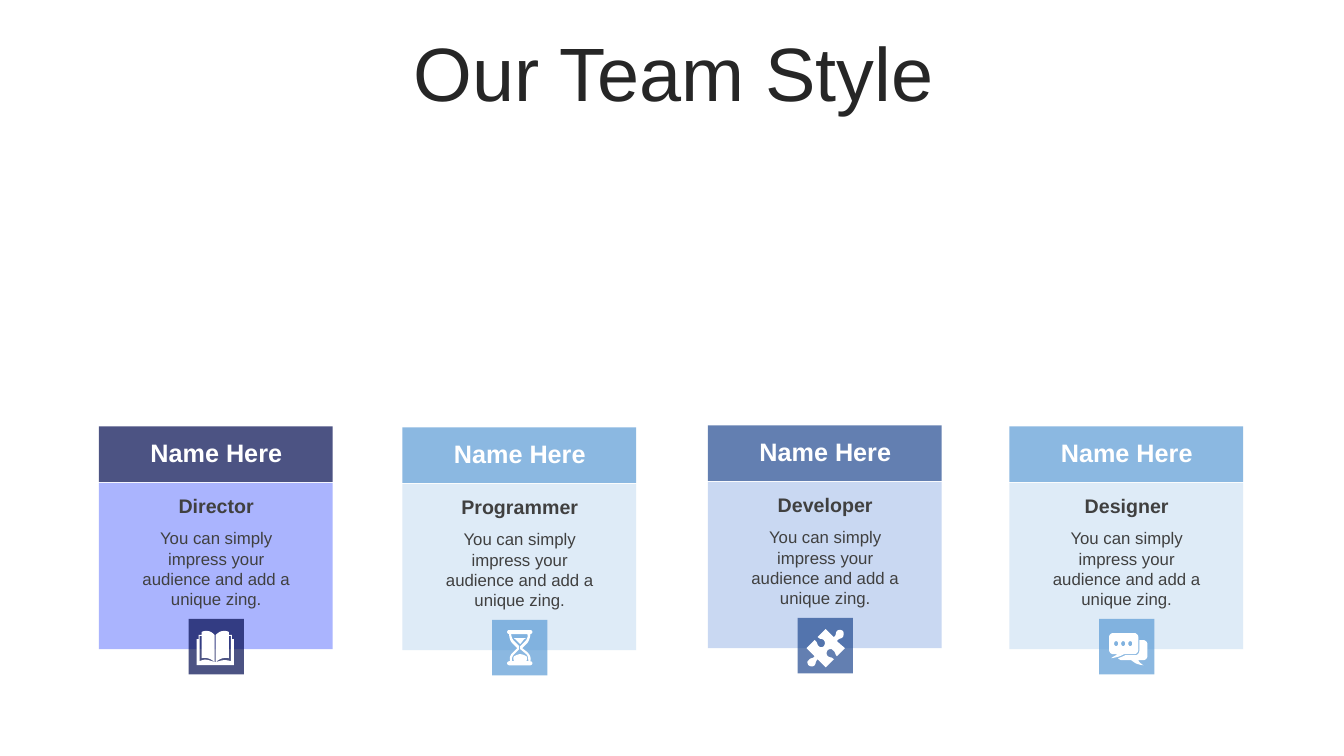
from dataclasses import dataclass

from lxml.etree import SubElement
from pptx import Presentation
from pptx.dml.color import RGBColor
from pptx.enum.shapes import MSO_SHAPE
from pptx.enum.text import MSO_ANCHOR, PP_ALIGN
from pptx.oxml.ns import qn
from pptx.shapes.autoshape import Shape
from pptx.slide import Slide
from pptx.util import Inches, Pt

Point = tuple[float, float]


@dataclass(frozen=True)
class Theme:
    font: str = "Arial"
    title_color: str = "262626"
    text_color: str = "404040"
    white: str = "FFFFFF"
    navy: str = "010A4F"
    sky: str = "5A9BD5"
    blue: str = "224A90"
    lavender: str = "AAB4FE"
    pale_sky: str = "DEEBF7"
    pale_blue: str = "C9D8F2"
    accent_opacity: int = 70
    title_size: int = 54
    name_size: int = 18
    role_size: int = 14
    body_size: int = 12


THEME = Theme()


@dataclass(frozen=True)
class Member:
    role: str
    left: float
    top: float
    accent: str
    panel: str
    icon: str


BOOK = (
    "M26,43 L27,43 C33,41 36,40 42,42 L42,17 L40,17 L40,39 C36,38 31,39 27,43 "
    "L27,16 C30,13 32,12 35,12 C37,12 38,12 40,13 L40,16 L43,16 L43,20 L45,20 "
    "L45,46 L8,46 L8,20 L10,20 L10,16 L13,16 L13,13 C15,12 16,12 18,12 "
    "C21,12 23,13 26,16 L26,43 C22,39 17,38 13,39 L13,17 L11,17 L11,42 "
    "C17,39 20,41 26,43"
)
HOURGLASS = (
    "M28,34 C30,34 32,35 34,36 C35,37 35,39 34,41 L22,41 C21,39 21,37 22,36 "
    "C24,35 26,34 28,34 "
    "M22,18 L34,18 C33,18 33,19 32,19 L28,24 L23,19 C22,19 22,18 22,18 "
    "M19,14 C19,16 20,19 22,21 L27,26 L27,29 L22,34 C20,36 19,39 20,41 L36,41 "
    "C36,39 36,36 34,34 L28,29 L28,26 L33,21 C35,19 36,16 35,14 "
    "M17,10 L38,10 C39,10 40,11 40,12 C40,13 39,14 38,14 C38,17 37,20 35,23 "
    "L30,28 L35,32 C38,35 39,38 38,41 C39,41 40,42 40,43 C40,44 39,45 38,45 "
    "L17,45 C16,45 15,44 15,43 C15,42 16,41 17,41 L18,41 C17,38 18,35 20,33 "
    "L25,28 L20,23 C18,21 17,17 17,14 C16,14 15,13 15,12 C15,11 16,10 17,10"
)
PUZZLE = (
    "M45,13 C46,14 46,17 45,19 C43,21 41,20 39,23 L47,30 L39,38 "
    "C37,36 38,34 35,32 C34,30 31,31 30,32 C29,33 28,36 30,38 C33,40 33,38 36,41 "
    "L28,49 L20,41 C17,44 19,44 17,47 C15,49 12,48 11,47 C10,46 9,43 11,42 "
    "C13,39 15,41 17,38 L9,30 L17,22 C20,24 19,26 21,28 C23,30 25,29 26,28 "
    "C27,27 28,24 26,22 C24,20 23,22 20,19 L28,11 L36,19 C39,17 37,16 39,13 "
    "C41,11 44,12 45,13"
)
CHAT_DOTS = " ".join(
    f"M{x},22 C{x - 1},22 {x - 2},23 {x - 2},24.5 C{x - 2},26 {x - 1},27 {x},27 "
    f"C{x + 1},27 {x + 2},26 {x + 2},24.5 C{x + 2},23 {x + 1},22 {x},22"
    for x in (17, 24, 31)
)
CHAT = (
    f"{CHAT_DOTS} "
    "M40,21 L44,21 C46,21 48,23 48,25 L48,37 C48,39 46,41 44,41 L39,41 "
    "C40,43 40,43 44,46 C37,45 36,44 32,41 L23,41 C21,41 20,40 19,39 "
    "C22,38 24,37 26,36 L36,36 C38,36 40,34 40,32 L40,21 "
    "M14,14 L35,14 C37,14 39,16 39,18 L39,31 C39,33 37,35 35,35 L25,35 "
    "C21,37 19,38 12,39 C16,36 16,37 18,35 L14,35 C12,35 10,33 10,31 L10,18 "
    "C10,16 12,14 14,14"
)

MEMBERS = (
    Member("Director", 0.98, 4.23, THEME.navy, THEME.lavender, BOOK),
    Member("Programmer", 3.99, 4.24, THEME.sky, THEME.pale_sky, HOURGLASS),
    Member("Developer", 7.02, 4.22, THEME.blue, THEME.pale_blue, PUZZLE),
    Member("Designer", 10.01, 4.23, THEME.sky, THEME.pale_sky, CHAT),
)


def paint(shape: Shape, color: str, opacity: int = 100) -> None:
    shape.shadow.inherit = False
    shape.line.fill.background()
    shape.fill.solid()
    shape.fill.fore_color.rgb = RGBColor.from_string(color)
    if opacity < 100:
        tint = shape._element.spPr.find(".//" + qn("a:srgbClr"))
        SubElement(tint, qn("a:alpha")).set("val", str(opacity * 1000))


def add_block(page: Slide, left: float, top: float, width: float, height: float,
              color: str, opacity: int = 100) -> None:
    block = page.shapes.add_shape(
        MSO_SHAPE.RECTANGLE, Inches(left), Inches(top), Inches(width), Inches(height))
    paint(block, color, opacity)


def add_text(page: Slide, text: str, left: float, top: float, width: float, height: float,
             *, size: int, color: str = THEME.text_color, bold: bool = False,
             anchor: MSO_ANCHOR = MSO_ANCHOR.MIDDLE, line_spacing: float = 1.0) -> None:
    box = page.shapes.add_textbox(Inches(left), Inches(top), Inches(width), Inches(height))
    frame = box.text_frame
    frame.word_wrap = True
    frame.vertical_anchor = anchor
    para = frame.paragraphs[0]
    para.alignment = PP_ALIGN.CENTER
    para.line_spacing = line_spacing
    span = para.add_run()
    span.text = text
    span.font.name = THEME.font
    span.font.size = Pt(size)
    span.font.bold = bold
    span.font.color.rgb = RGBColor.from_string(color)


def curve_points(start: Point, first: Point, second: Point, end: Point) -> list[Point]:
    steps = 6
    points = []
    for step in range(1, steps + 1):
        t = step / steps
        weights = ((1 - t) ** 3, 3 * t * (1 - t) ** 2, 3 * t * t * (1 - t), t ** 3)
        corners = (start, first, second, end)
        points.append((sum(w * c[0] for w, c in zip(weights, corners)),
                       sum(w * c[1] for w, c in zip(weights, corners))))
    return points


def to_point(token: str) -> Point:
    x, y = token.lstrip("LC").split(",")
    return float(x), float(y)


def contour_points(contour: str) -> list[Point]:
    tokens = iter(contour.split())
    points = [to_point(next(tokens))]
    for token in tokens:
        if token.startswith("C"):
            points += curve_points(points[-1], to_point(token),
                                   to_point(next(tokens)), to_point(next(tokens)))
        else:
            points.append(to_point(token))
    return points


def add_icon(page: Slide, outline: str, left: float, top: float) -> None:
    contours = [
        [(Inches(left + x / 100), Inches(top + y / 100)) for x, y in contour_points(contour)]
        for contour in outline.split("M")[1:]
    ]
    builder = page.shapes.build_freeform(*contours[0][0])
    for index, contour in enumerate(contours):
        if index:
            builder.move_to(*contour[0])
        builder.add_line_segments(contour[1:], close=True)
    paint(builder.convert_to_shape(), THEME.white)


def add_member(page: Slide, member: Member) -> None:
    left, top = member.left, member.top
    badge_left, badge_top = left + 0.89, top + 1.91
    text_left, text_width = left + 0.26, 1.81
    add_block(page, left, top, 2.32, 0.55, member.accent, THEME.accent_opacity)
    add_block(page, left, top + 0.56, 2.32, 1.65, member.panel)
    add_block(page, badge_left, badge_top, 0.55, 0.55, member.accent, THEME.accent_opacity)
    add_text(page, member.role, text_left, top + 0.61, text_width, 0.35,
             size=THEME.role_size, bold=True)
    add_text(page, "You can simply impress your audience and add a unique zing.",
             text_left, top + 0.96, text_width, 0.91,
             size=THEME.body_size, anchor=MSO_ANCHOR.TOP)
    add_text(page, "Name Here", text_left, top + 0.12, text_width, 0.27,
             size=THEME.name_size, color=THEME.white, bold=True)
    add_icon(page, member.icon, badge_left, badge_top)


def main() -> None:
    deck = Presentation()
    deck.slide_width, deck.slide_height = Inches(13.33), Inches(7.5)
    page = deck.slides.add_slide(deck.slide_layouts[6])
    add_text(page, "Our Team Style", 0.35, 0.37, 12.66, 0.79,
             size=THEME.title_size, color=THEME.title_color, line_spacing=0.9)
    for member in MEMBERS:
        add_member(page, member)
    deck.save("out.pptx")


if __name__ == "__main__":
    main()
